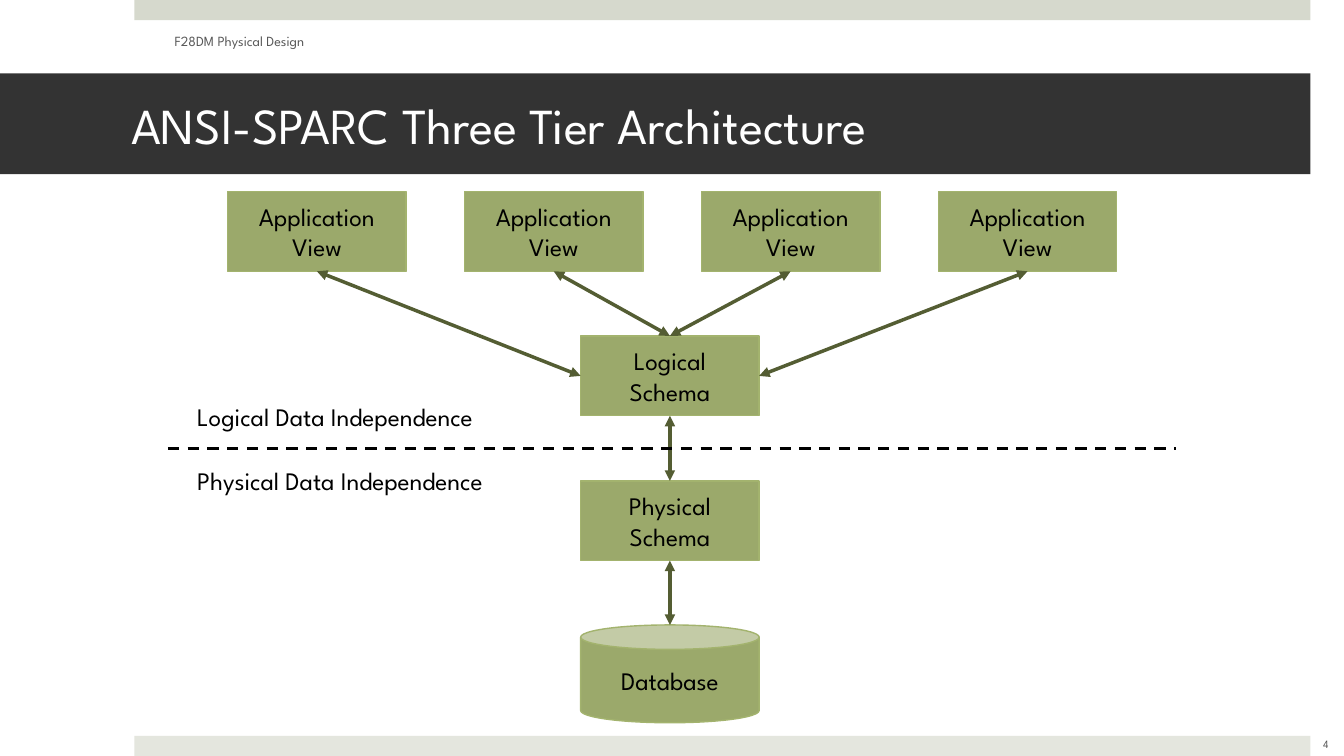
from lxml import etree
from pptx import Presentation
from pptx.dml.color import RGBColor
from pptx.enum.dml import MSO_LINE
from pptx.enum.shapes import MSO_CONNECTOR, MSO_SHAPE
from pptx.enum.text import MSO_ANCHOR, PP_ALIGN
from pptx.oxml.ns import qn
from pptx.util import Inches, Pt

RECT, CAN = MSO_SHAPE.RECTANGLE, MSO_SHAPE.CAN
STRAIGHT, DASH = MSO_CONNECTOR.STRAIGHT, MSO_LINE.DASH
LEFT, CENTER, MIDDLE = PP_ALIGN.LEFT, PP_ALIGN.CENTER, MSO_ANCHOR.MIDDLE

WHITE = RGBColor(0xFF, 0xFF, 0xFF)
BLACK = RGBColor(0x00, 0x00, 0x00)
CHARCOAL = RGBColor(0x33, 0x33, 0x33)
GREY = RGBColor(0x59, 0x59, 0x59)
TOP_BAND = RGBColor(0xD6, 0xD9, 0xCD)
BOTTOM_BAND = RGBColor(0xE4, 0xE6, 0xDE)
OLIVE = RGBColor(0x9B, 0xA9, 0x6B)
OLIVE_EDGE = RGBColor(0xA3, 0xB3, 0x6E)
ARROW = RGBColor(0x54, 0x5D, 0x33)

FONT = "League Spartan"
COLUMNS, ROWS = 160, 90
TOP, SIDE_LEFT, BOTTOM, SIDE_RIGHT = range(4)
CAN_TOP = 1

BOX_W, BOX_H = 21.25, 9.5
CENTRE_X = 79.75
VIEW_X, VIEW_Y, VIEW_STEP = 27.1, 22.8, 28.2
LOGICAL_Y, PHYSICAL_Y, DATABASE_Y = 40, 57.25, 74.4


def write(shape, text, *, size=18, color=BLACK, align=CENTER, margin_left=0.1, margin_right=0.1):
    """Put formatted text into a shape."""
    frame = shape.text_frame
    frame.word_wrap = True
    frame.vertical_anchor = MIDDLE
    frame.margin_left, frame.margin_right = Inches(margin_left), Inches(margin_right)
    paragraph = frame.paragraphs[0]
    paragraph.alignment = align
    run = paragraph.add_run()
    run.text = text
    run.font.name, run.font.size = FONT, Pt(size)
    run.font.color.rgb = color


class Canvas:
    """Draws styled elements on the current slide by grid columns and rows."""

    def __init__(self, deck):
        """Add a blank slide and measure its grid."""
        self.slide = deck.slides.add_slide(deck.slide_layouts[6])
        self.shapes = self.slide.shapes
        self.column = deck.slide_width / COLUMNS
        self.row = deck.slide_height / ROWS

    def place(self, x, y):
        """Turn columns and rows into slide lengths."""
        return round(x * self.column), round(y * self.row)

    def block(self, x, y, width, height, fill, kind=RECT, edge=None):
        """Draw a filled preset shape."""
        shape = self.shapes.add_shape(kind, *self.place(x, y), *self.place(width, height))
        shape.shadow.inherit = False
        shape.fill.solid()
        shape.fill.fore_color.rgb = fill
        if edge is None:
            shape.line.fill.background()
        else:
            shape.line.color.rgb = edge
            shape.line.width = Pt(1)
        return shape

    def tier(self, text, x, y, height=BOX_H, kind=RECT):
        """Draw one labelled part of the architecture."""
        shape = self.block(x, y, BOX_W, height, OLIVE, kind, OLIVE_EDGE)
        write(shape, text)
        return shape

    def label(self, text, x, y, width, height=4.8, **style):
        """Draw free text."""
        box = self.shapes.add_textbox(*self.place(x, y), *self.place(width, height))
        write(box, text, **style)

    def line(self, start, end, color, weight):
        """Draw a plain straight line between two points."""
        connector = self.shapes.add_connector(STRAIGHT, *start, *end)
        connector.line.color.rgb = color
        connector.line.width = Pt(weight)
        etree.SubElement(connector._element.spPr, qn("a:effectLst"))
        return connector

    def link(self, upper, lower, lower_site=TOP):
        """Join the bottom of one part to another with a two-headed arrow."""
        arrow = self.line((0, 0), (0, 0), ARROW, 2.5)
        for tag in ("a:headEnd", "a:tailEnd"):
            etree.SubElement(arrow.line._get_or_add_ln(), qn(tag), type="triangle")
        arrow.begin_connect(upper, BOTTOM)
        arrow.end_connect(lower, lower_site)
        return arrow


def main():
    """Build and save the slide."""
    deck = Presentation()
    deck.slide_width, deck.slide_height = Inches(13.33), Inches(7.5)
    canvas = Canvas(deck)

    canvas.block(16, 0, 140, 2.4, TOP_BAND)
    canvas.block(16, 87.6, 140, 2.4, BOTTOM_BAND)
    title = canvas.block(0, 8.75, 156, 12, CHARCOAL)
    write(title, "ANSI-SPARC Three Tier Architecture", size=36, color=WHITE,
          align=LEFT, margin_left=1.3, margin_right=0.3)
    canvas.label("F28DM Physical Design", 19.6, 2.5, 50.6, size=10, color=GREY, align=LEFT)

    box_x = CENTRE_X - BOX_W / 2
    database = canvas.tier("Database", box_x, DATABASE_Y, 11.65, CAN)
    physical = canvas.tier("Physical Schema", box_x, PHYSICAL_Y)
    logical = canvas.tier("Logical Schema", box_x, LOGICAL_Y)
    views = [canvas.tier("Application View", VIEW_X + i * VIEW_STEP, VIEW_Y) for i in range(4)]

    storage_link = canvas.link(physical, database, CAN_TOP)
    storage_link.end_x, storage_link.end_y = canvas.place(CENTRE_X, DATABASE_Y)
    canvas.link(logical, physical)
    for view, site in zip(views, (SIDE_LEFT, TOP, TOP, SIDE_RIGHT)):
        canvas.link(view, logical, site)

    divider = canvas.line(canvas.place(20, 53.4), canvas.place(140, 53.4), BLACK, 2)
    divider.line.dash_style = DASH
    canvas.label("Logical Data Independence", 22.3, 47.2, 45.5, align=LEFT)
    canvas.label("Physical Data Independence", 22.3, 54.8, 45.5, align=LEFT)
    canvas.label("4", 155.7, 86.2, 4.3, size=8, color=GREY, margin_left=0, margin_right=0)

    deck.save("out.pptx")


if __name__ == "__main__":
    main()
